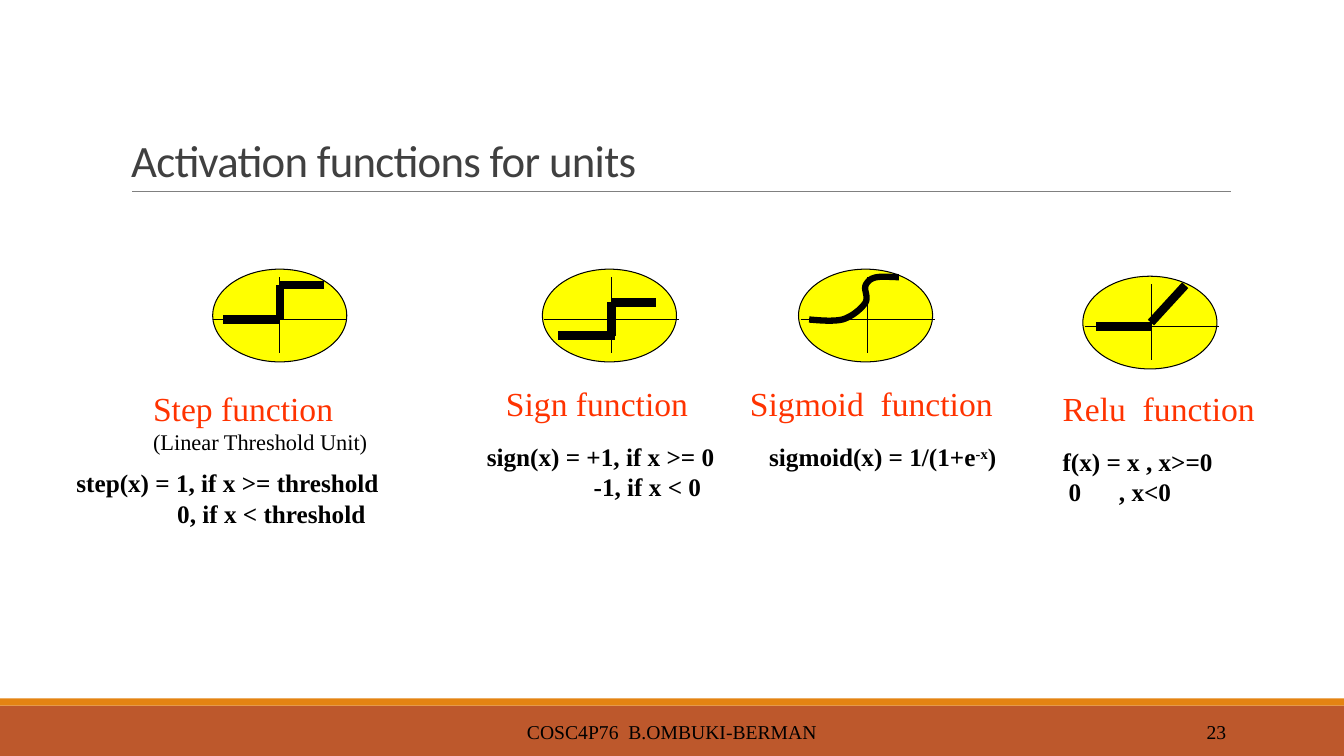
from lxml import etree
from pptx import Presentation
from pptx.dml.color import RGBColor
from pptx.enum.shapes import MSO_CONNECTOR, MSO_SHAPE
from pptx.enum.text import MSO_ANCHOR, MSO_AUTO_SIZE, PP_ALIGN
from pptx.oxml.ns import qn
from pptx.util import Inches, Pt

STRAIGHT = MSO_CONNECTOR.STRAIGHT
RECTANGLE, OVAL = MSO_SHAPE.RECTANGLE, MSO_SHAPE.OVAL
TOP, MIDDLE, BOTTOM = MSO_ANCHOR.TOP, MSO_ANCHOR.MIDDLE, MSO_ANCHOR.BOTTOM
LEFT, CENTER, RIGHT = PP_ALIGN.LEFT, PP_ALIGN.CENTER, PP_ALIGN.RIGHT
NO_AUTOFIT = MSO_AUTO_SIZE.NONE
SERIF = "Times New Roman"
COLORS = {"black": "000000", "title": "404040", "rule": "808080", "name": "FF3300",
          "unit": "FFFF00", "footer": "BD582C", "stripe": "E48312"}

STEP_LINES = [((-0.56, 0), (0, 0)), ((0, 0), (0, -0.34)), ((0, -0.34), (0.44, -0.34))]
SIGN_LINES = [((-0.53, 0.16), (0.03, 0.16)), ((0, 0.16), (0, -0.17)),
              ((0, -0.17), (0.44, -0.17))]
RELU_LINES = [((-0.55, 0), (0, 0)), ((-0.01, -0.04), (0.33, -0.41))]
SIGMOID_CURVE = [(-0.58, 0), (-0.46, 0.01), (-0.34, 0.02), (-0.25, 0),
                 (-0.15, -0.03), (-0.06, -0.11), (-0.02, -0.17),
                 (0.01, -0.23), (-0.04, -0.29), (-0.02, -0.34),
                 (0, -0.38), (0.03, -0.41), (0.09, -0.42),
                 (0.14, -0.43), (0.27, -0.42), (0.31, -0.42)]


def rgb(name):
    """Return the named colour."""
    return RGBColor.from_string(COLORS[name])


def add_filled(slide, kind, box, fill, outlined=False):
    """Add a filled preset shape, with a thin black outline if asked."""
    shape = slide.shapes.add_shape(kind, *map(Inches, box))
    shape.shadow.inherit = False
    shape.fill.solid()
    shape.fill.fore_color.rgb = rgb(fill)
    if outlined:
        shape.line.color.rgb = rgb("black")
        shape.line.width = Pt(0.75)
    else:
        shape.line.fill.background()


def add_line(slide, start, end, width, color="black"):
    """Add a straight line without a shadow."""
    line = slide.shapes.add_connector(STRAIGHT, *map(Inches, (*start, *end)))
    line.line.color.rgb = rgb(color)
    line.line.width = Pt(width)
    properties = line._element.find(qn("p:spPr"))
    etree.SubElement(properties, qn("a:effectLst"))


def add_run(paragraph, text, size, color="black", bold=False, font=SERIF, baseline=0):
    """Add one formatted run and return it."""
    run = paragraph.add_run()
    run.text = text
    run.font.name, run.font.size, run.font.bold = font, Pt(size), bold
    run.font.color.rgb = rgb(color)
    if baseline:
        run._r.get_or_add_rPr().set("baseline", str(baseline))
    return run


def add_text_frame(slide, box, anchor=TOP):
    """Add a wrapping text box and return its text frame."""
    frame = slide.shapes.add_textbox(*map(Inches, box)).text_frame
    frame.word_wrap = True
    frame.vertical_anchor = anchor
    return frame


def indent_paragraph(paragraph, indent, tab=None):
    """Indent a whole paragraph and set an optional tab stop."""
    properties = paragraph._p.get_or_add_pPr()
    properties.set("marL", str(Inches(indent)))
    properties.set("indent", "0")
    if tab:
        tabs = etree.SubElement(properties, qn("a:tabLst"))
        etree.SubElement(tabs, qn("a:tab"), pos=str(Inches(tab)), algn="l")


def add_title(slide, box, text):
    """Place the title and the rule under it."""
    title = slide.shapes.title
    left, top, width, height = box
    title.left, title.top, title.width, title.height = map(Inches, box)
    frame = title.text_frame
    frame.auto_size = NO_AUTOFIT
    frame.vertical_anchor = BOTTOM
    paragraph = frame.paragraphs[0]
    paragraph.alignment = LEFT
    paragraph.line_spacing = 0.85
    run = add_run(paragraph, text, 32, "title", font="Calibri")
    run._r.get_or_add_rPr().set("spc", "-50")
    base = top + height
    add_line(slide, (left + 0.11, base), (left + width + 0.01, base), 0.5, "rule")


def add_footer(slide, box, text, number):
    """Draw the footer band with its stripe, centred text and slide number."""
    left, top, width, height = box
    add_filled(slide, RECTANGLE, box, "footer")
    add_filled(slide, RECTANGLE, (left, top - 0.07, width, 0.07), "stripe")
    for words, offset, span, alignment in ((text, 4.03, 5.27, CENTER),
                                           (number, 10.83, 1.43, RIGHT)):
        frame = add_text_frame(slide, (left + offset, top + 0.06, span, 0.4), MIDDLE)
        frame.paragraphs[0].alignment = alignment
        add_run(frame.paragraphs[0], words, 14)


def add_unit(slide, box, shift=0.02):
    """Draw a unit with its axes and return the origin of the axes."""
    left, top, width, _ = box
    add_filled(slide, OVAL, box, "unit", outlined=True)
    x, y = left + width / 2 + shift, top + 0.5
    add_line(slide, (x, top + 0.08), (x, top + 0.83), 0.75)
    add_line(slide, (left + shift, y), (left + width + shift, y), 0.75)
    return x, y


def add_plot(slide, origin, segments):
    """Draw thick segments around the origin."""
    x, y = origin
    for start, end in segments:
        add_line(slide, (x + start[0], y + start[1]), (x + end[0], y + end[1]), 6)


def add_curve(slide, origin, points, steps=12):
    """Draw a chain of cubic curves around the origin."""
    samples = []
    for first in range(0, len(points) - 1, 3):
        a, b, c, d = points[first:first + 4]
        for step in range(1, steps + 1):
            t = step / steps
            samples.append(tuple(
                Inches(origin[k] + (1 - t) ** 3 * a[k] + 3 * t * (1 - t) ** 2 * b[k]
                       + 3 * t * t * (1 - t) * c[k] + t ** 3 * d[k]) for k in (0, 1)))
    builder = slide.shapes.build_freeform(Inches(origin[0] + points[0][0]),
                                          Inches(origin[1] + points[0][1]))
    builder.add_line_segments(samples, close=False)
    curve = builder.convert_to_shape()
    curve.shadow.inherit = False
    curve.fill.background()
    curve.line.color.rgb = rgb("black")
    curve.line.width = Pt(4.5)


def add_name(slide, box, name, note=None):
    """Write the name of a function, with an optional note below."""
    frame = add_text_frame(slide, box)
    add_run(frame.paragraphs[0], name, 24, "name")
    if note:
        add_run(frame.add_paragraph(), note, 16)


def add_formula(slide, box, pieces, second=None, indent=0, tab=None):
    """Write a bold formula of (text, baseline) pieces and an indented second line."""
    frame = add_text_frame(slide, box)
    for text, baseline in pieces:
        add_run(frame.paragraphs[0], text, 18, bold=True, baseline=baseline)
    if second:
        paragraph = frame.add_paragraph()
        indent_paragraph(paragraph, indent, tab)
        add_run(paragraph, second, 18, bold=True)


def build_slide(presentation):
    """Build the slide on activation functions."""
    slide = presentation.slides.add_slide(presentation.slide_layouts[5])
    add_footer(slide, (0, 7, 13.33, 0.5), "COSC4P76  B.OMBUKI-BERMAN", "23")
    add_title(slide, (1.2, 0.31, 11, 1.59), "Activation functions for units")

    add_plot(slide, add_unit(slide, (2.11, 2.67, 1.33, 0.92), 0), STEP_LINES)
    add_name(slide, (1.42, 3.8, 2.4, 0.77), "Step function", "(Linear Threshold Unit)")
    add_formula(slide, (0.66, 4.59, 3.3, 0.71), [("step(x) = 1, if x >= threshold", 0)],
                "0, if x < threshold", 1)

    add_plot(slide, add_unit(slide, (5.38, 2.67, 1.33, 0.92)), SIGN_LINES)
    add_name(slide, (4.92, 3.75, 2.1, 0.5), "Sign function")
    add_formula(slide, (4.73, 4.33, 2.55, 0.71), [("sign(x) = +1, if x >= 0", 0)],
                "-1, if x < 0", 1.06)

    add_curve(slide, add_unit(slide, (7.92, 2.67, 1.33, 0.92)), SIGMOID_CURVE)
    add_name(slide, (7.34, 3.75, 2.7, 0.5), "Sigmoid  function")
    add_formula(slide, (7.53, 4.33, 2.55, 0.4),
                [("sigmoid(x) = 1/(1+e", 0), ("-x", 30000), (")", 0)])

    add_plot(slide, add_unit(slide, (10.74, 2.74, 1.33, 0.92)), RELU_LINES)
    add_name(slide, (10.44, 3.8, 2.61, 0.5), "Relu  function")
    add_formula(slide, (10.44, 4.38, 1.8, 0.71), [("f(x) = x , x>=0", 0)],
                "0\t, x<0", 0.06, 0.87)


def main():
    """Create and save the presentation."""
    presentation = Presentation()
    presentation.slide_width, presentation.slide_height = Inches(13.33), Inches(7.5)
    build_slide(presentation)
    presentation.save("out.pptx")


if __name__ == "__main__":
    main()
